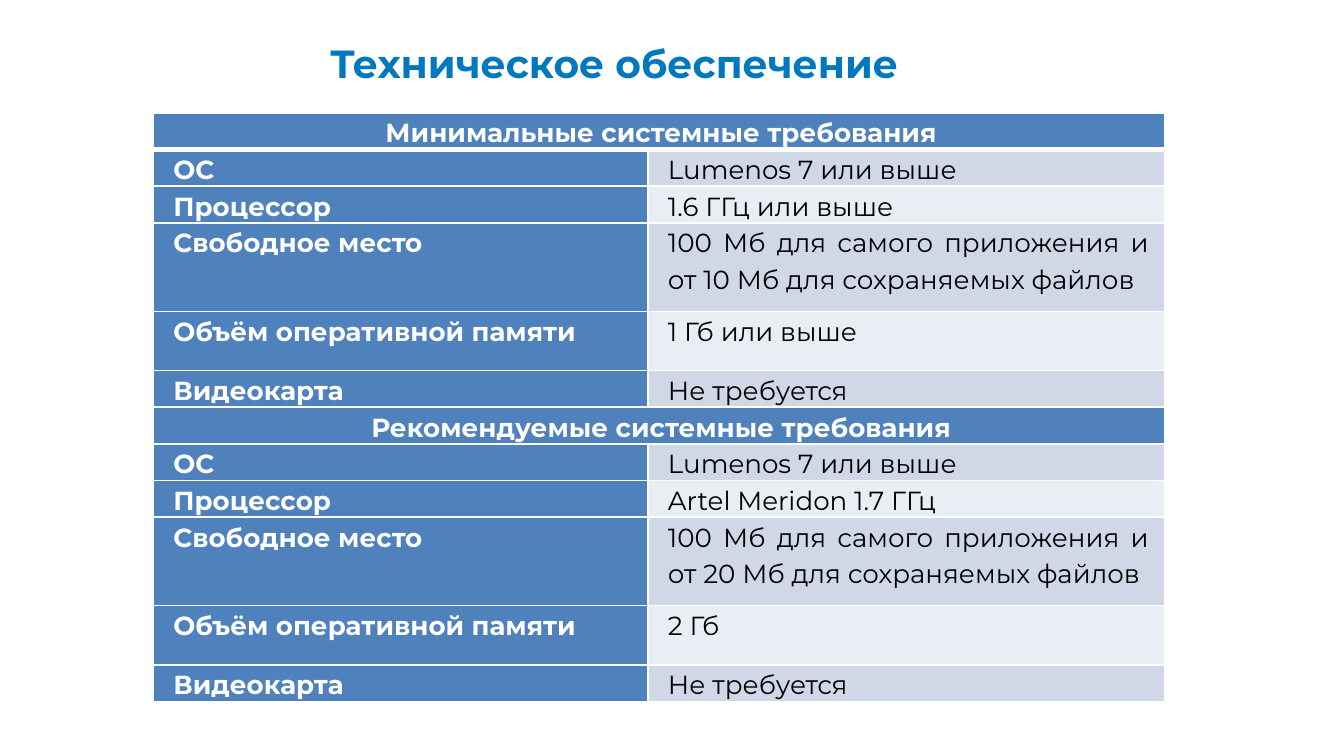
from lxml import etree
from pptx import Presentation
from pptx.dml.color import RGBColor
from pptx.enum.text import MSO_ANCHOR, PP_ALIGN
from pptx.oxml.ns import qn
from pptx.util import Inches, Pt

CENTER = PP_ALIGN.CENTER
JUSTIFY = PP_ALIGN.JUSTIFY
MIDDLE = MSO_ANCHOR.MIDDLE
TOP = MSO_ANCHOR.TOP
TITLE_ONLY = 5
SLIDE_WIDTH = 10
SLIDE_HEIGHT = SLIDE_WIDTH * 9 / 16
FONT = "Montserrat"
WHITE = "FFFFFF"
BLACK = "000000"
TITLE_BLUE = "0078BF"
TABLE_BLUE = "4F81BD"
BANDS = ("D0D8E8", "E9EDF4")
COLUMN_WIDTHS = (3.68, 3.85)
HEADING_HEIGHT = 0.25
PARAMETERS = (
    ("ОС", 0.25),
    ("Процессор", 0.25),
    ("Свободное место", 0.66),
    ("Объём оперативной памяти", 0.44),
    ("Видеокарта", 0.25),
)
SECTIONS = (
    ("Минимальные системные требования", (
        "Lumenos 7 или выше",
        "1.6 ГГц или выше",
        "100 Мб для самого приложения и от 10 Мб для сохраняемых файлов",
        "1 Гб или выше",
        "Не требуется",
    )),
    ("Рекомендуемые системные требования", (
        "Lumenos 7 или выше",
        "Artel Meridon 1.7 ГГц",
        "100 Мб для самого приложения и от 20 Мб для сохраняемых файлов",
        "2 Гб",
        "Не требуется",
    )),
)


def rgb(color):
    return RGBColor.from_string(color)


def write_text(text_frame, text, size=14, color=BLACK, bold=False,
               align=JUSTIFY, spacing=1.0, indent=0, right_indent=0):
    paragraph = text_frame.paragraphs[0]
    paragraph.alignment = align
    paragraph.line_spacing = spacing
    properties = paragraph._p.get_or_add_pPr()
    properties.set("marL", str(Inches(indent)))
    properties.set("marR", str(Inches(right_indent)))
    run = paragraph.add_run()
    run.text = text
    run.font.name = FONT
    run.font.size = Pt(size)
    run.font.bold = bold
    run.font.color.rgb = rgb(color)


def set_borders(cell, top=1, bottom=1):
    properties = cell._tc.get_or_add_tcPr()
    for side, width in (("lnL", 1), ("lnR", 1), ("lnT", top), ("lnB", bottom)):
        line = etree.SubElement(properties, qn("a:" + side), w=str(Pt(width)))
        fill = etree.SubElement(line, qn("a:solidFill"))
        etree.SubElement(fill, qn("a:srgbClr"), val=WHITE)


def format_cell(cell, fill, top=1, bottom=1):
    set_borders(cell, top, bottom)
    cell.fill.solid()
    cell.fill.fore_color.rgb = rgb(fill)
    cell.margin_left = cell.margin_right = Inches(0.07)
    cell.margin_top = cell.margin_bottom = 0
    cell.vertical_anchor = TOP


def write_cell(cell, text, **text_format):
    write_text(cell.text_frame, text, spacing=1.15, indent=0.08,
               right_indent=0.05, **text_format)


def add_title(slide, text):
    title = slide.shapes.title
    title.left, title.top = Inches(0.04), Inches(0.24)
    title.width, title.height = Inches(9.06), Inches(0.46)
    text_frame = title.text_frame
    text_frame.margin_left = text_frame.margin_right = Inches(0.07)
    text_frame.margin_top = text_frame.margin_bottom = Inches(0.04)
    text_frame.vertical_anchor = MIDDLE
    text_frame.word_wrap = True
    write_text(text_frame, text, size=21, color=TITLE_BLUE, bold=True, align=CENTER)


def fill_heading(table, row, text):
    bottom = 3 if row == 0 else 1
    left, right = table.cell(row, 0), table.cell(row, 1)
    for cell in (left, right):
        format_cell(cell, TABLE_BLUE, bottom=bottom)
    left.merge(right)
    write_cell(left, text, color=WHITE, bold=True, align=CENTER)
    table.rows[row].height = Inches(HEADING_HEIGHT)


def fill_requirement(table, row, name, value, height, band):
    top = 3 if row == 1 else 1
    name_cell, value_cell = table.cell(row, 0), table.cell(row, 1)
    format_cell(name_cell, TABLE_BLUE, top=top)
    write_cell(name_cell, name, color=WHITE, bold=True)
    format_cell(value_cell, band, top=top)
    write_cell(value_cell, value)
    table.rows[row].height = Inches(height)


def add_requirements_table(slide):
    section_size = len(PARAMETERS) + 1
    frame = slide.shapes.add_table(
        section_size * len(SECTIONS), len(COLUMN_WIDTHS),
        Inches(1.14), Inches(0.84), Inches(sum(COLUMN_WIDTHS)), Inches(4.22))
    table = frame.table
    for column, width in zip(table.columns, COLUMN_WIDTHS):
        column.width = Inches(width)
    for section, (heading, values) in enumerate(SECTIONS):
        first_row = section * section_size
        fill_heading(table, first_row, heading)
        for index, ((name, height), value) in enumerate(zip(PARAMETERS, values)):
            fill_requirement(table, first_row + index + 1, name, value, height,
                             BANDS[index % len(BANDS)])


def main():
    presentation = Presentation()
    presentation.slide_width = Inches(SLIDE_WIDTH)
    presentation.slide_height = Inches(SLIDE_HEIGHT)
    slide = presentation.slides.add_slide(presentation.slide_layouts[TITLE_ONLY])
    add_title(slide, "Техническое обеспечение")
    add_requirements_table(slide)
    presentation.save("out.pptx")


if __name__ == "__main__":
    main()
